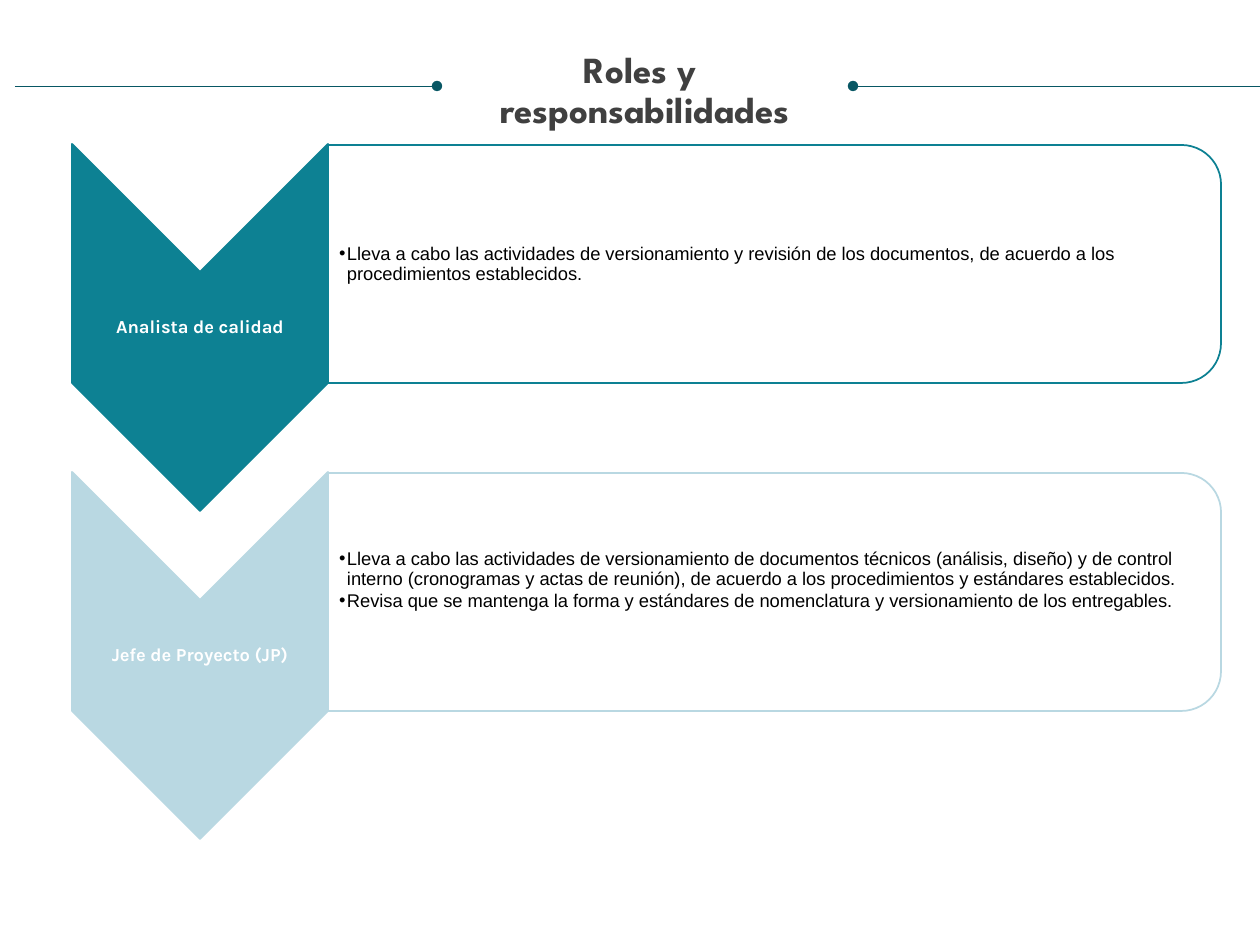
from lxml.etree import SubElement
from pptx import Presentation
from pptx.dml.color import RGBColor
from pptx.enum.shapes import MSO_CONNECTOR, MSO_SHAPE
from pptx.enum.text import MSO_ANCHOR, MSO_AUTO_SIZE, PP_ALIGN
from pptx.oxml.ns import qn
from pptx.util import Emu, Pt

PX_PER_INCH = 126
WHITE = RGBColor(0xFF, 0xFF, 0xFF)
BLACK = RGBColor(0, 0, 0)
GRAY = RGBColor(0x40, 0x40, 0x40)
DARK_TEAL = RGBColor(0x08, 0x57, 0x64)
TEAL = RGBColor(0x0D, 0x81, 0x93)
PALE_BLUE = RGBColor(0xB9, 0xD8, 0xE2)

ROLES = [
    ("Analista de calidad", TEAL, 1, [
        "Lleva a cabo las actividades de versionamiento y revisión de los documentos, "
        "de acuerdo a los procedimientos establecidos."]),
    ("Jefe de Proyecto (JP)", PALE_BLUE, 25, [
        "Lleva a cabo las actividades de versionamiento de documentos técnicos "
        "(análisis, diseño) y de control interno (cronogramas y actas de reunión), "
        "de acuerdo a los procedimientos y estándares establecidos.",
        "Revisa que se mantenga la forma y estándares de nomenclatura y "
        "versionamiento de los entregables."]),
]
ROW_TOP, ROW_PITCH = 144, 328


def px(length):
    return Emu(round(length * 914400 / PX_PER_INCH))


class RolesSlide:
    title_font, label_font, body_font = "League Spartan", "Karla", "Arial"
    title_size, text_size = Pt(21), Pt(10.5)

    def __init__(self, slide):
        self.slide = slide
        self.shapes = slide.shapes

    def place(self, shape, left, top, width, height):
        shape.left, shape.top = px(left), px(top)
        shape.width, shape.height = px(width), px(height)

    def set_text(self, shape, lines, font, size, color, bold=False,
                 align=PP_ALIGN.CENTER, anchor=MSO_ANCHOR.MIDDLE, insets=(1, 1, 1, 1)):
        """Fill a text frame; insets are left, top, right, bottom."""
        frame = shape.text_frame
        frame.text = "\n".join(lines)
        frame.word_wrap = True
        frame.auto_size = MSO_AUTO_SIZE.NONE
        frame.vertical_anchor = anchor
        (frame.margin_left, frame.margin_top,
         frame.margin_right, frame.margin_bottom) = map(px, insets)
        for paragraph in frame.paragraphs:
            paragraph.alignment = align
            paragraph.line_spacing = 0.9
            paragraph.space_before = Pt(0)
            for run in paragraph.runs:
                run.font.name, run.font.size = font, size
                run.font.bold = bold
                run.font.color.rgb = color

    def title(self, lines, *box):
        shape = self.shapes.title
        self.place(shape, *box)
        self.set_text(shape, lines, self.title_font, self.title_size, GRAY, bold=True,
                      anchor=MSO_ANCHOR.TOP, insets=(0, 0, 0, 0))

    def dotted_line(self, start, end, y):
        """Draw a horizontal line with a dot at its end."""
        line = self.shapes.add_connector(
            MSO_CONNECTOR.STRAIGHT, px(start), px(y), px(end), px(y))
        line.line.color.rgb = DARK_TEAL
        line.line.width = Pt(0.5)
        SubElement(line.line._get_or_add_ln(), qn("a:tailEnd"), type="oval")
        SubElement(line._element.spPr, qn("a:effectLst"))

    def turned_shape(self, preset, left, top, width, height, fill, line):
        """Add a shape turned 90 degrees that covers the given box."""
        shift = (width - height) / 2
        shape = self.shapes.add_shape(
            preset, px(left + shift), px(top - shift), px(height), px(width))
        shape.rotation = 90
        shape.shadow.inherit = False
        shape.fill.solid()
        shape.fill.fore_color.rgb = fill
        shape.line.color.rgb = line
        shape.line.width = Pt(1)
        return shape

    def chevron(self, color, *box):
        self.turned_shape(MSO_SHAPE.CHEVRON, *box, color, color)

    def panel(self, color, *box):
        shape = self.turned_shape(MSO_SHAPE.ROUND_2_SAME_RECTANGLE, *box, WHITE, color)
        fill_color = shape._element.spPr.find(qn("a:solidFill"))[0]
        SubElement(fill_color, qn("a:alpha"), val="90000")

    def label(self, text, *box):
        shape = self.shapes.add_textbox(*map(px, box))
        self.set_text(shape, [text], self.label_font, self.text_size, WHITE, bold=True)

    def bullets(self, index, lines, bottom_inset, *box):
        """Put a list in a body placeholder and bring it to the front."""
        shape = self.slide.placeholders[index]
        self.place(shape, *box)
        self.set_text(shape, lines, self.body_font, self.text_size, BLACK,
                      align=PP_ALIGN.LEFT, insets=(11, 1, 1, bottom_inset))
        for paragraph in shape.text_frame.paragraphs:
            paragraph.space_after = Pt(1)
            properties = paragraph._p.get_or_add_pPr()
            properties.set("marL", str(px(8)))
            properties.set("indent", str(px(-8)))
        self.shapes._spTree.append(shape._element)


def main():
    presentation = Presentation()
    presentation.slide_width, presentation.slide_height = px(1260), px(945)
    two_content = presentation.slide_layouts[3]
    page = RolesSlide(presentation.slides.add_slide(two_content))

    page.title(["Roles y ", "responsabilidades"], 39, 52, 1212, 120)
    page.dotted_line(15, 437, 86)
    page.dotted_line(1275, 853, 86)

    for row, (role, color, bottom_inset, duties) in enumerate(ROLES):
        top = ROW_TOP + row * ROW_PITCH
        page.chevron(color, 72, top, 256, 367)
        page.label(role, 72, top + 129, 256, 110)
        page.panel(color, 328, top + 1, 893, 238)
        page.bullets(row + 1, duties, bottom_inset, 328, top + 13, 882, 215)

    presentation.save("out.pptx")


if __name__ == "__main__":
    main()
